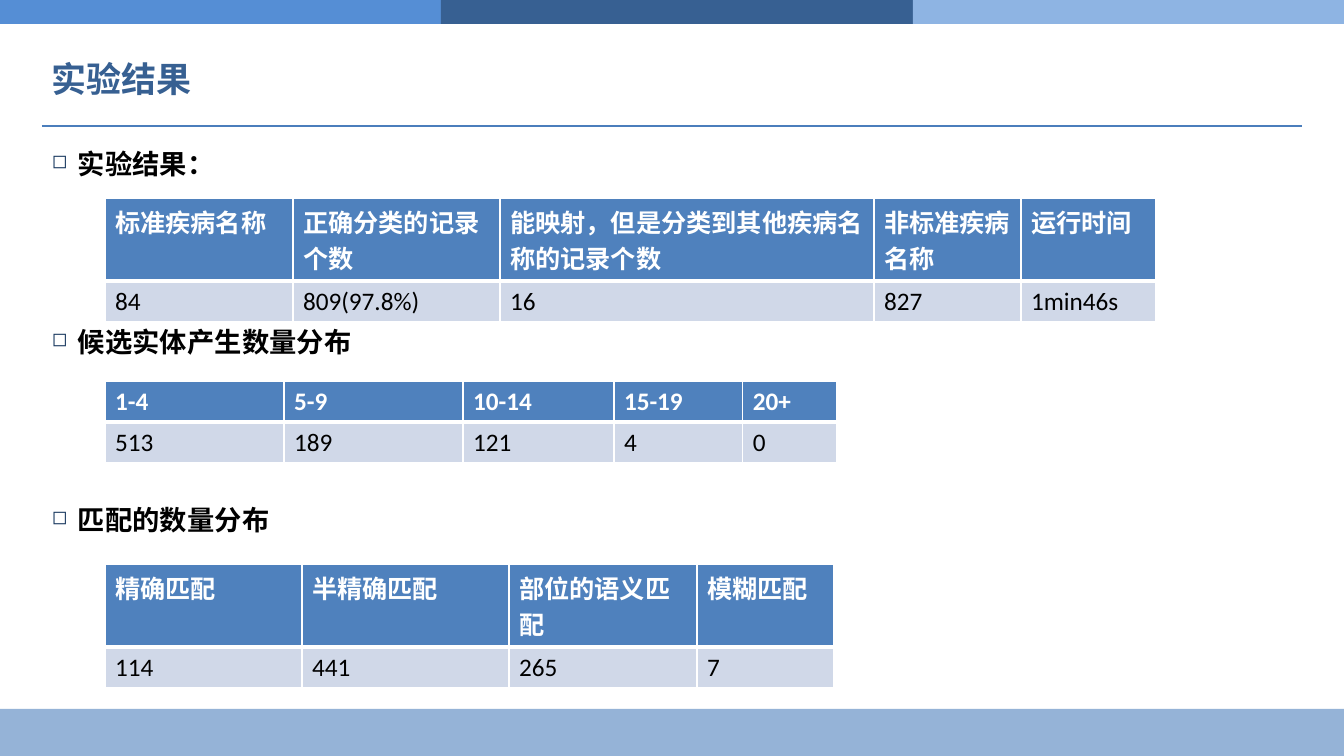
import pptx
import pptx.dml.color
import pptx.enum.shapes
import pptx.enum.text
import pptx.oxml
import pptx.oxml.ns
import pptx.util
import lxml.etree

RGBColor = pptx.dml.color.RGBColor
WHITE = RGBColor(0xFF, 0xFF, 0xFF)
BLACK = RGBColor(0x00, 0x00, 0x00)
BAR_LEFT = RGBColor(0x55, 0x8E, 0xD5)
BAR_MIDDLE = RGBColor(0x37, 0x60, 0x92)
BAR_RIGHT = RGBColor(0x8E, 0xB4, 0xE3)
FOOTER = RGBColor(0x95, 0xB3, 0xD7)
RULE = RGBColor(0x4B, 0x7E, 0xBC)
BULLET = RGBColor(0x17, 0x37, 0x5E)
HEADER_FILL = RGBColor(0x4F, 0x81, 0xBD)
BODY_FILL = RGBColor(0xD0, 0xD8, 0xE8)

WIDTH, HEIGHT = 1344, 756
EMU_PER_PX = 12192000 / WIDTH
ONE_LINE, TWO_LINES = 41, 83


def px(length):
    return pptx.util.Emu(round(length * EMU_PER_PX))


def add_child(parent, tag, **attributes):
    return lxml.etree.SubElement(parent, pptx.oxml.ns.qn(tag), attributes)


class SlideBuilder:
    """Draws styled elements on one slide, with lengths in px."""

    heading_font = "Arial"
    table_font = "Calibri"

    def __init__(self, slide):
        self.slide = slide

    def set_font(self, paragraph, name, size, color, bold):
        font = paragraph.font
        font.name, font.size, font.bold = name, pptx.util.Pt(size), bold
        font.color.rgb = color

    def bar(self, left, top, width, height, color):
        shape = self.slide.shapes.add_shape(
            pptx.enum.shapes.MSO_SHAPE.RECTANGLE, *map(px, (left, top, width, height)))
        shape.shadow.inherit = False
        shape.fill.solid()
        shape.fill.fore_color.rgb = color
        shape.line.fill.background()

    def rule(self, left, right, y):
        connector = self.slide.shapes.add_connector(
            pptx.enum.shapes.MSO_CONNECTOR.STRAIGHT, px(left), px(y), px(right), px(y))
        connector.line.color.rgb = RULE
        connector.line.width = pptx.util.Pt(0.75)
        add_child(connector.element.spPr, "a:effectLst")

    def text(self, left, top, width, height, text):
        frame = self.slide.shapes.add_textbox(
            *map(px, (left, top, width, height))).text_frame
        frame.word_wrap = True
        frame.text = text
        return frame

    def title(self, left, top, width, height, text):
        frame = self.text(left, top, width, height, text)
        frame.vertical_anchor = pptx.enum.text.MSO_ANCHOR.MIDDLE
        self.set_font(frame.paragraphs[0], self.heading_font, 25, BAR_MIDDLE, True)

    def bullet(self, left, top, width, height, text):
        paragraph = self.text(left, top, width, height, text).paragraphs[0]
        paragraph.space_before = paragraph.space_after = pptx.util.Pt(4.2)
        properties = paragraph._p.get_or_add_pPr()
        properties.set("marL", str(px(26)))
        properties.set("indent", str(px(-26)))
        color = add_child(properties, "a:buClr")
        add_child(color, "a:srgbClr", val=str(BULLET))
        add_child(properties, "a:buSzPct", val="70000")
        add_child(properties, "a:buChar", char="◻")
        self.set_font(paragraph, self.heading_font, 19.5, BLACK, True)

    def borders(self, cell, top, bottom):
        properties = cell._tc.get_or_add_tcPr()
        for side, points in (("L", 1), ("R", 1), ("T", top), ("B", bottom)):
            line = add_child(properties, f"a:ln{side}", w=str(pptx.util.Pt(points)))
            fill = add_child(line, "a:solidFill")
            add_child(fill, "a:srgbClr", val=str(WHITE))

    def table(self, left, top, widths, heights, rows):
        table = self.slide.shapes.add_table(
            len(rows), len(widths), px(left), px(top),
            px(sum(widths)), px(sum(heights))).table
        for column, width in zip(table.columns, widths):
            column.width = px(width)
        for row, height in zip(table.rows, heights):
            row.height = px(height)
        for row_index, values in enumerate(rows):
            header = row_index == 0
            for column_index, value in enumerate(values):
                cell = table.cell(row_index, column_index)
                cell.text = value
                self.borders(cell, *((1, 3) if header else (3, 1)))
                cell.fill.solid()
                cell.fill.fore_color.rgb = HEADER_FILL if header else BODY_FILL
                self.set_font(cell.text_frame.paragraphs[0], self.table_font, 18,
                              WHITE if header else BLACK, header)


SECTIONS = [
    ("实验结果：", TWO_LINES, [188, 207, 374, 147, 135],
     [["标准疾病名称", "正确分类的记录个数", "能映射，但是分类到其他疾病名称的记录个数",
       "非标准疾病名称", "运行时间"],
      ["84", "809(97.8%)", "16", "827", "1min46s"]]),
    ("候选实体产生数量分布", ONE_LINE, [179, 179, 151, 129, 94],
     [["1-4", "5-9", "10-14", "15-19", "20+"],
      ["513", "189", "121", "4", "0"]]),
    ("匹配的数量分布", TWO_LINES, [197, 207, 188, 137],
     [["精确匹配", "半精确匹配", "部位的语义匹配", "模糊匹配"],
      ["114", "441", "265", "7"]]),
]


def main():
    presentation = pptx.Presentation()
    presentation.slide_width, presentation.slide_height = px(WIDTH), px(HEIGHT)
    builder = SlideBuilder(presentation.slides.add_slide(presentation.slide_layouts[6]))

    builder.bar(0, 709, WIDTH, 47, FOOTER)
    for left, right, color in ((0, 441, BAR_LEFT), (441, 913, BAR_MIDDLE),
                               (913, WIDTH, BAR_RIGHT)):
        builder.bar(left, 0, right - left, 24, color)
    builder.rule(42, 1302, 126)
    builder.title(42, 39, 1260, 79, "实验结果")

    for index, (heading, header_height, widths, rows) in enumerate(SECTIONS):
        builder.bullet(42, 142 + 178 * index, 1260, 44, heading)
        builder.table(105, 198 + 183 * index, widths, [header_height, ONE_LINE], rows)

    presentation.save("out.pptx")


if __name__ == "__main__":
    main()
